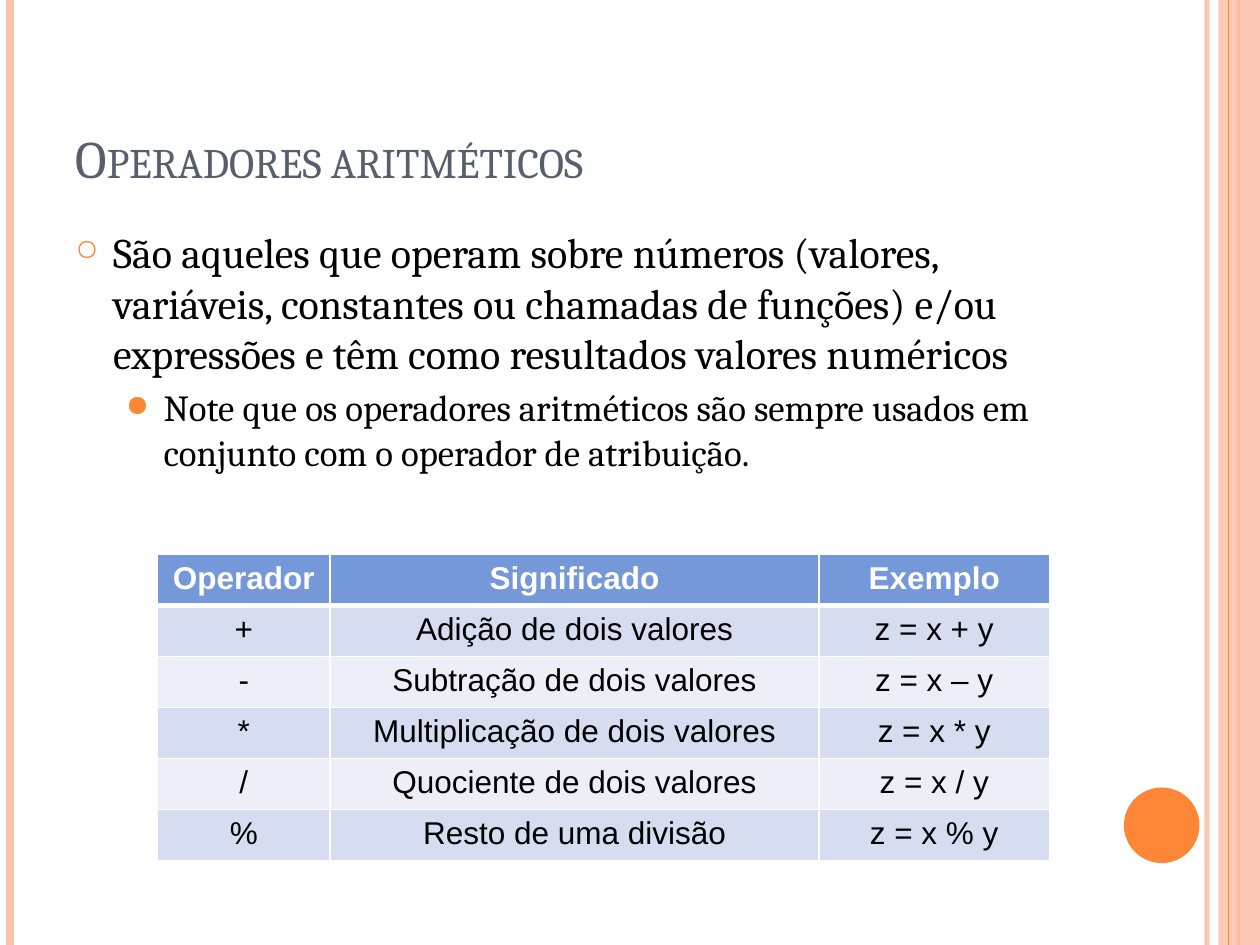
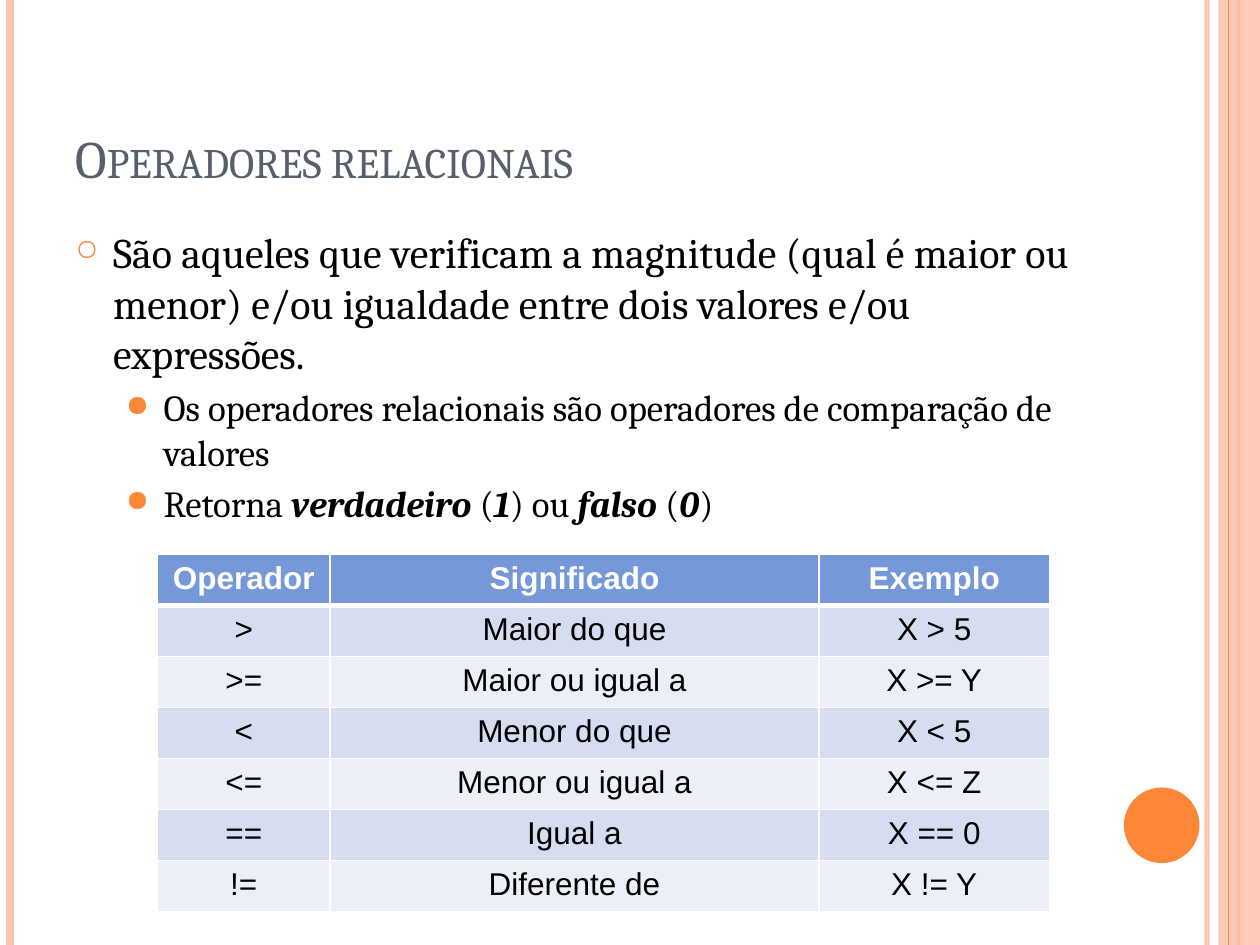
from pptx import Presentation
from pptx.dml.color import RGBColor
from pptx.enum.shapes import MSO_CONNECTOR, MSO_SHAPE
from pptx.enum.text import MSO_ANCHOR, PP_ALIGN
from pptx.oxml.ns import qn
from pptx.util import Inches, Pt
from lxml.etree import SubElement

ORANGE = RGBColor(0xFE, 0x86, 0x37)
PEACH = RGBColor(0xFE, 0xC3, 0xAE)
SLATE = RGBColor(0x57, 0x5F, 0x6D)
BLUE = RGBColor(0x75, 0x98, 0xD9)
PALE_BLUE = RGBColor(0xD6, 0xDD, 0xF1)
PALEST_BLUE = RGBColor(0xEC, 0xEF, 0xF8)
BLACK = RGBColor(0, 0, 0)
WHITE = RGBColor(0xFF, 0xFF, 0xFF)

# Body text: (level, text); the parts between bars are bold italic.
SLIDES = [
    {
        "title": "Operadores aritméticos",
        "body": [
            (0, "São aqueles que operam sobre números (valores, variáveis, constantes "
                "ou chamadas de funções) e/ou expressões e têm como resultados "
                "valores numéricos"),
            (1, "Note que os operadores aritméticos são sempre usados em conjunto "
                "com o operador de atribuição."),
        ],
        "operators": [
            ("+", "Adição de dois valores", "z = x + y"),
            ("-", "Subtração de dois valores", "z = x – y"),
            ("*", "Multiplicação de dois valores", "z = x * y"),
            ("/", "Quociente de dois valores", "z = x / y"),
            ("%", "Resto de uma divisão", "z = x % y"),
        ],
    },
    {
        "title": "Operadores relacionais",
        "body": [
            (0, "São aqueles que verificam a magnitude (qual é maior ou menor) e/ou "
                "igualdade entre dois valores e/ou expressões."),
            (1, "Os operadores relacionais são operadores de comparação de valores"),
            (1, "Retorna |verdadeiro| (|1|) ou |falso| (|0|)"),
        ],
        "operators": [
            (">", "Maior do que", "X > 5"),
            (">=", "Maior ou igual a", "X >= Y"),
            ("<", "Menor do que", "X < 5"),
            ("<=", "Menor ou igual a", "X <= Z"),
            ("==", "Igual a", "X == 0"),
            ("!=", "Diferente de", "X != Y"),
        ],
    },
]
TABLE_HEADER = ("Operador", "Significado", "Exemplo")
COLUMN_WIDTHS = (1.37, 3.88, 1.83)
ROW_HEIGHT = Inches(2.43) // 6

# x, colour, width in points, opacity in percent
RULES_BEHIND_BAND = [(9.58, PEACH, 3, 93), (0.08, PEACH, 4.5, 100), (9.83, ORANGE, 1.5, 100)]
RULES_OVER_BAND = [(9.75, ORANGE, 0.75, 100)]

TITLE_FONT = {"name": "Cambria", "size": Pt(30), "color": SLATE}
HEADER_FONT = {"name": "Arial", "size": Pt(18), "color": WHITE, "bold": True}
CELL_FONT = {**HEADER_FONT, "color": BLACK, "bold": False}
LEVELS = [
    {"size": 24, "before": 6, "margin": 0.3, "bullet": "○", "bullet_size": 70},
    {"size": 21, "before": 4.2, "margin": 0.7, "bullet": "●", "bullet_size": 80},
]
HANGING = 0.3


def add_run(paragraph, text, font_format):
    run = paragraph.add_run()
    run.text = text
    for attribute, value in font_format.items():
        if attribute == "color":
            run.font.color.rgb = value
        else:
            setattr(run.font, attribute, value)
    return run


def set_opacity(element, percent):
    if percent < 100:
        color = next(element.iter(qn("a:srgbClr")))
        SubElement(color, qn("a:alpha"), val=str(percent * 1000))


def add_rules(slide, rules):
    for x, color, width, opacity in rules:
        rule = slide.shapes.add_connector(
            MSO_CONNECTOR.STRAIGHT, Inches(x), 0, Inches(x), Inches(7.5))
        rule.line.color.rgb = color
        rule.line.width = Pt(width)
        properties = rule._element.spPr
        set_opacity(properties, opacity)
        SubElement(properties, qn("a:effectLst"))


def add_plain_shape(slide, kind, box, color, opacity=100):
    shape = slide.shapes.add_shape(kind, *map(Inches, box))
    shape.shadow.inherit = False
    shape.fill.solid()
    shape.fill.fore_color.rgb = color
    shape.line.fill.background()
    set_opacity(shape._element.spPr, opacity)


def add_decoration(slide):
    add_rules(slide, RULES_BEHIND_BAND)
    add_plain_shape(slide, MSO_SHAPE.RECTANGLE, (9.67, 0, 0.33, 7.5), PEACH, 87)
    add_rules(slide, RULES_OVER_BAND)
    add_plain_shape(slide, MSO_SHAPE.OVAL, (8.92, 6.25, 0.6, 0.6), ORANGE)


def add_text_frame(slide, box, anchor):
    frame = slide.shapes.add_textbox(*map(Inches, box)).text_frame
    frame.word_wrap = True
    frame.vertical_anchor = anchor
    return frame


def add_title(slide, title):
    frame = add_text_frame(slide, (0.5, 0.3, 8.17, 1.25), MSO_ANCHOR.BOTTOM)
    run = add_run(frame.paragraphs[0], title, TITLE_FONT)
    run.font._element.set("cap", "small")


def set_bullet(paragraph, level):
    properties = paragraph._p.get_or_add_pPr()
    properties.set("marL", str(Inches(level["margin"])))
    properties.set("indent", str(-Inches(HANGING)))
    color = SubElement(properties, qn("a:buClr"))
    SubElement(color, qn("a:srgbClr"), val=str(ORANGE))
    SubElement(properties, qn("a:buSzPct"), val=str(level["bullet_size"] * 1000))
    SubElement(properties, qn("a:buChar"), char=level["bullet"])


def add_body(slide, items):
    frame = add_text_frame(slide, (0.5, 1.75, 8.17, 5.33), MSO_ANCHOR.TOP)
    for index, (depth, text) in enumerate(items):
        paragraph = frame.add_paragraph() if index else frame.paragraphs[0]
        level = LEVELS[depth]
        paragraph.level = depth
        paragraph.space_before = Pt(level["before"])
        set_bullet(paragraph, level)
        for part_index, part in enumerate(text.split("|")):
            emphasis = part_index % 2 == 1
            add_run(paragraph, part, {
                "name": "Cambria", "size": Pt(level["size"]), "color": BLACK,
                "bold": emphasis, "italic": emphasis})


def set_borders(cell, top, bottom):
    """Draw white cell borders; call before filling, as the schema wants lines first."""
    properties = cell._tc.get_or_add_tcPr()
    for side, width in (("L", 1), ("R", 1), ("T", top), ("B", bottom)):
        line = SubElement(properties, qn(f"a:ln{side}"), w=str(Pt(width)))
        fill = SubElement(line, qn("a:solidFill"))
        SubElement(fill, qn("a:srgbClr"), val=str(WHITE))


def add_operator_table(slide, operators):
    rows = [TABLE_HEADER, *operators]
    table = slide.shapes.add_table(
        len(rows), len(TABLE_HEADER), Inches(1.25), Inches(4.4),
        Inches(sum(COLUMN_WIDTHS)), ROW_HEIGHT * len(rows)).table
    for column, width in zip(table.columns, COLUMN_WIDTHS):
        column.width = Inches(width)
    for row_index, texts in enumerate(rows):
        table.rows[row_index].height = ROW_HEIGHT
        is_header = row_index == 0
        color = BLUE if is_header else (PALEST_BLUE, PALE_BLUE)[row_index % 2]
        for column_index, text in enumerate(texts):
            cell = table.cell(row_index, column_index)
            set_borders(cell, top=3 if row_index == 1 else 1, bottom=3 if is_header else 1)
            cell.fill.solid()
            cell.fill.fore_color.rgb = color
            paragraph = cell.text_frame.paragraphs[0]
            paragraph.alignment = PP_ALIGN.CENTER
            add_run(paragraph, text, HEADER_FONT if is_header else CELL_FONT)


def main():
    presentation = Presentation()
    presentation.slide_width = Inches(10)
    presentation.slide_height = Inches(7.5)
    for content in SLIDES:
        slide = presentation.slides.add_slide(presentation.slide_layouts[6])
        add_decoration(slide)
        add_title(slide, content["title"])
        add_body(slide, content["body"])
        add_operator_table(slide, content["operators"])
    presentation.save("out.pptx")


if __name__ == "__main__":
    main()
